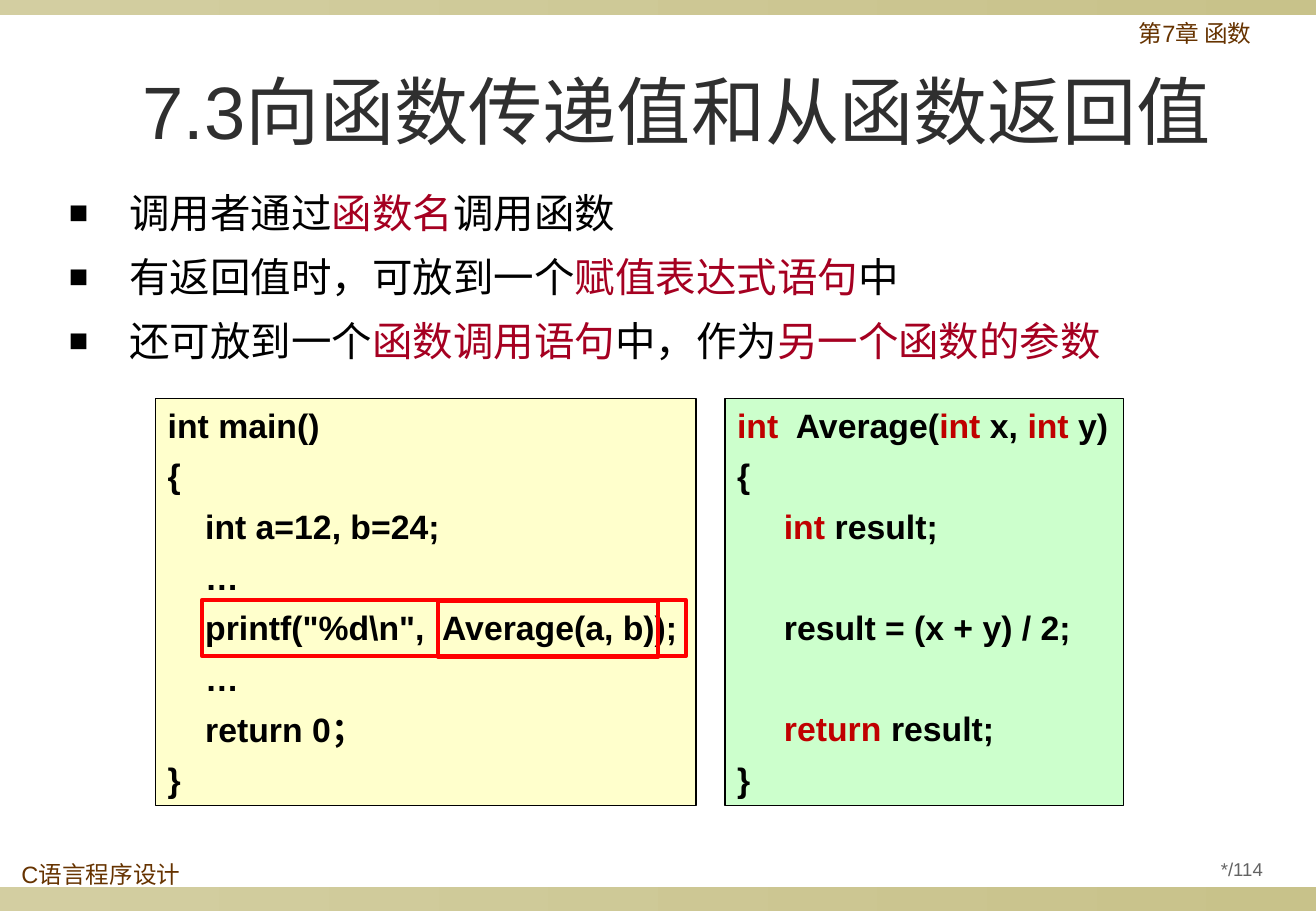
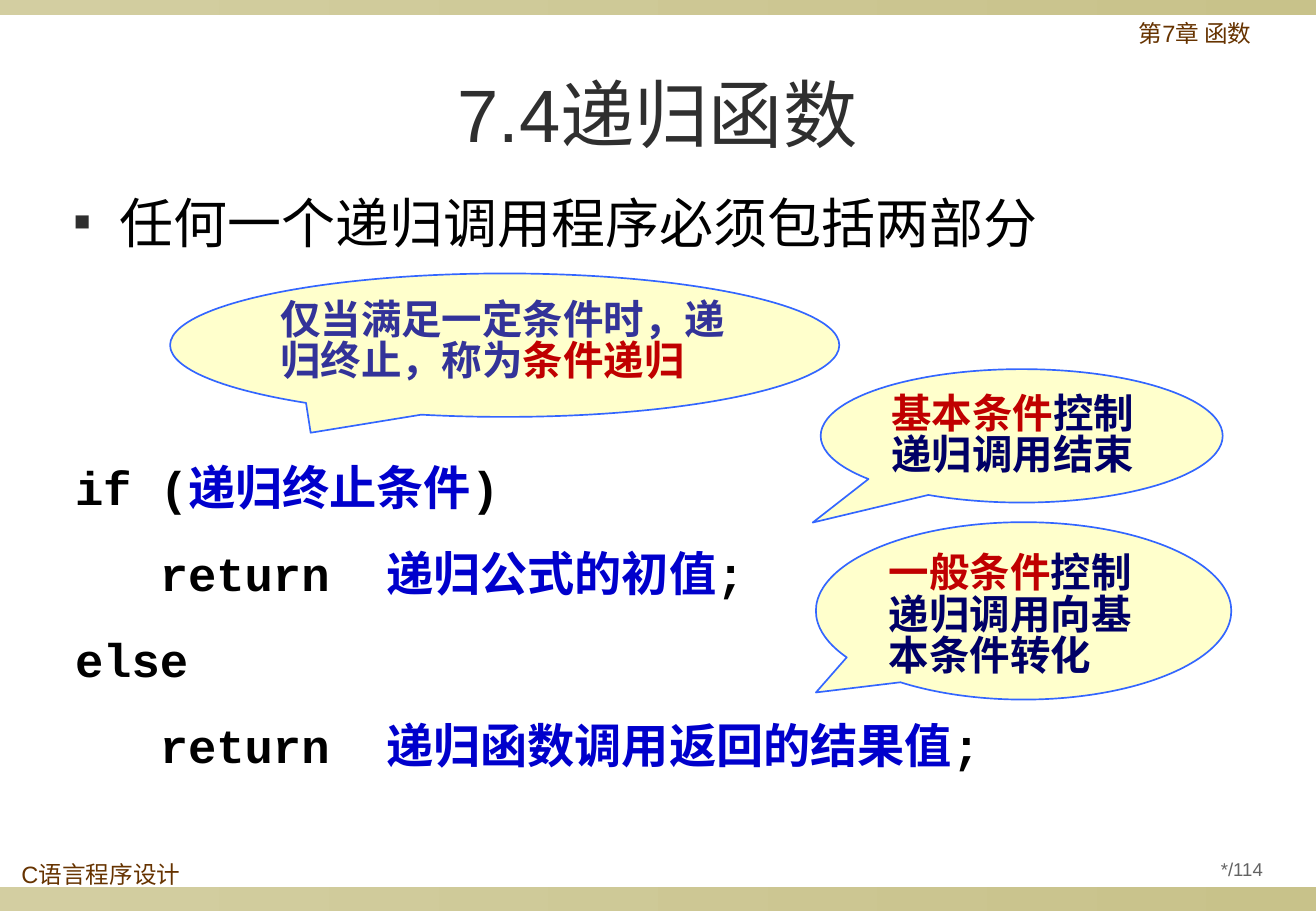
from dataclasses import dataclass
from typing import NamedTuple, Optional

from lxml.etree import SubElement
from pptx import Presentation
from pptx.dml.color import RGBColor
from pptx.enum.shapes import MSO_SHAPE as Preset
from pptx.enum.text import MSO_ANCHOR as Anchor, PP_ALIGN as Align
from pptx.oxml.ns import qn
from pptx.util import Cm, Pt

COLORS = {
    "band_start": "D3CEA1",
    "band_end": "C8C28A",
    "brown": "663300",
    "title": "2F2F2F",
    "page": "636363",
    "black": "000000",
    "crimson": "A50021",
    "keyword": "C00000",
    "frame": "FF0000",
    "yellow": "FFFFCC",
    "green": "CCFFCC",
    "outline": "3366FF",
    "navy": "000066",
    "indigo": "333399",
    "blue": "0000CC",
}
LATIN, MONO, CJK = "Arial", "Courier New", "Noto Sans CJK SC"
WIDTH, HEIGHT = 27.53, 19.05


class Box(NamedTuple):
    left: float
    top: float
    width: float
    height: float


class Run(NamedTuple):
    text: str
    color: Optional[str] = None
    font: Optional[str] = None


Line = list[Run]


class Bullet(NamedTuple):
    indent: float
    percent: int
    color: str


@dataclass(frozen=True)
class Style:
    size: float
    color: str = "black"
    font: str = LATIN
    bold: bool = False
    align: Align = Align.LEFT
    anchor: Anchor = Anchor.TOP
    spacing: object = 1.0
    before: float = 0
    blank_line: float = 0
    wrap: bool = True
    left_inset: float = 0.25
    right_inset: float = 0.25
    bullet: Optional[Bullet] = None


@dataclass(frozen=True)
class Panel:
    box: Box
    lines: list[Line]
    fill: Optional[str]
    line: str
    line_width: float
    preset: Preset = Preset.RECTANGLE
    tail: tuple[float, ...] = ()


TITLE = Style(44, "title", align=Align.CENTER, anchor=Anchor.MIDDLE)
MARGIN_NOTE = Style(14, "brown", spacing=0.9, wrap=False)
PAGE = Style(11, "page", align=Align.CENTER, anchor=Anchor.MIDDLE,
             left_inset=0.13, right_inset=0.13)
POINTS = Style(24, font=CJK, spacing=Pt(25), before=13,
               bullet=Bullet(1.27, 80, "black"))
LEAD = Style(32, font=CJK, spacing=Pt(36), bullet=Bullet(0.96, 50, "title"))
CODE = Style(20, bold=True, before=6, blank_line=29.9, right_inset=0.13)
SCHEME = Style(28, font=MONO, bold=True, spacing=Pt(51))
CALLOUT = Style(24, "navy", CJK, bold=True, spacing=Pt(24.6))


def rgb(name: str) -> RGBColor:
    return RGBColor.from_string(COLORS[name])


def place(box: Box) -> tuple[Cm, ...]:
    return tuple(Cm(length) for length in box)


def add_bullet(paragraph, bullet: Bullet) -> None:
    properties = paragraph._p.get_or_add_pPr()
    properties.set("marL", str(Cm(bullet.indent)))
    properties.set("indent", str(-Cm(bullet.indent)))
    tint = SubElement(properties, qn("a:buClr"))
    SubElement(tint, qn("a:srgbClr"), val=COLORS[bullet.color])
    SubElement(properties, qn("a:buSzPct"), val=str(bullet.percent * 1000))
    SubElement(properties, qn("a:buFont"), typeface=LATIN)
    SubElement(properties, qn("a:buChar"), char="■")


def add_run(paragraph, content: Run, style: Style) -> None:
    run = paragraph.add_run()
    run.text = content.text
    run.font.size = Pt(style.size)
    run.font.bold = style.bold
    run.font.color.rgb = rgb(content.color or style.color)
    run.font.name = content.font or style.font
    SubElement(run._r.get_or_add_rPr(), qn("a:ea"), typeface=CJK)


def write(shape, lines: list[Line], style: Style) -> None:
    frame = shape.text_frame
    frame.word_wrap = style.wrap
    frame.vertical_anchor = style.anchor
    frame.margin_left = Cm(style.left_inset)
    frame.margin_right = Cm(style.right_inset)
    frame.margin_top = frame.margin_bottom = Cm(0.13)
    paragraph = None
    gap = 0.0
    for line in lines:
        if not line:
            gap += style.blank_line
            continue
        first = paragraph is None
        paragraph = frame.paragraphs[0] if first else frame.add_paragraph()
        if style.bullet:
            add_bullet(paragraph, style.bullet)
        paragraph.alignment = style.align
        paragraph.line_spacing = style.spacing
        paragraph.space_before = Pt(0 if first else style.before + gap)
        gap = 0.0
        for content in line:
            add_run(paragraph, content, style)


def add_text(slide, box: Box, lines: list[Line], style: Style) -> None:
    write(slide.shapes.add_textbox(*place(box)), lines, style)


def add_panel(slide, panel: Panel, style: Style) -> None:
    shape = slide.shapes.add_shape(panel.preset, *place(panel.box))
    shape.shadow.inherit = False
    for index, value in enumerate(panel.tail):
        shape.adjustments[index] = value
    if panel.fill:
        shape.fill.solid()
        shape.fill.fore_color.rgb = rgb(panel.fill)
    else:
        shape.fill.background()
    shape.line.color.rgb = rgb(panel.line)
    shape.line.width = Pt(panel.line_width)
    if panel.lines:
        write(shape, panel.lines, style)


def add_band(slide, top: float, height: float) -> None:
    band = slide.shapes.add_shape(
        Preset.RECTANGLE, *place(Box(0, top, WIDTH, height)))
    band.shadow.inherit = False
    band.line.fill.background()
    band.fill.gradient()
    band.fill.gradient_angle = 0
    for stop, name in zip(band.fill.gradient_stops, ("band_start", "band_end")):
        stop.color.rgb = rgb(name)


def add_framed_slide(deck, title: str, title_box: Box):
    slide = deck.slides.add_slide(deck.slide_layouts[6])
    add_band(slide, 18.54, 0.51)
    add_band(slide, 0, 0.32)
    for box, text, style in (
        (Box(0.2, 17.91, 3.96, 0.81), "C语言程序设计", MARGIN_NOTE),
        (Box(23.57, 0.33, 3.96, 0.99), "第7章 函数", MARGIN_NOTE),
        (Box(24.61, 17.77, 2.74, 0.79), "*/114", PAGE),
        (title_box, title, TITLE),
    ):
        add_text(slide, box, [[Run(text)]], style)
    return slide


def build_passing_values(deck) -> None:
    slide = add_framed_slide(
        deck, "7.3向函数传递值和从函数返回值", Box(1.16, 1.12, 26.01, 2.34))
    add_text(slide, Box(1.19, 3.94, 25.58, 4.2), [
        [Run("调用者通过"), Run("函数名", "crimson"), Run("调用函数")],
        [Run("有返回值时，可放到一个"), Run("赋值表达式语句", "crimson"),
         Run("中")],
        [Run("还可放到一个"), Run("函数调用语句", "crimson"),
         Run("中，作为"), Run("另一个函数的参数", "crimson")],
    ], POINTS)
    main_code = [[Run(text)] for text in (
        "int main()",
        "{",
        "    int a=12, b=24;",
        "    …",
        r'    printf("%d\n",  Average(a, b));',
        "    …",
        "    return 0；",
        "}",
    )]
    average_code = [
        [Run("int", "keyword"), Run("  Average("), Run("int", "keyword"),
         Run(" x, "), Run("int", "keyword"), Run(" y)")],
        [Run("{")],
        [Run("     int ", "keyword"), Run("result;")],
        [],
        [Run("     result = (x + y) / 2;")],
        [],
        [Run("     return ", "keyword"), Run("result;")],
        [Run("}")],
    ]
    for panel in (
        Panel(Box(3.26, 8.33, 11.3, 8.51), main_code, "yellow", "black", 0.75),
        Panel(Box(15.17, 8.33, 8.33, 8.51), average_code, "green", "black", 0.75),
        Panel(Box(4.22, 12.55, 10.13, 1.17), [], None, "frame", 2.25),
        Panel(Box(9.17, 12.57, 4.6, 1.17), [], None, "frame", 2.25),
    ):
        add_panel(slide, panel, CODE)


def build_recursion(deck) -> None:
    slide = add_framed_slide(deck, "7.4递归函数", Box(1.37, 0.76, 24.77, 3.18))
    add_text(slide, Box(1.3, 3.91, 24.82, 1.7),
             [[Run("任何一个递归调用程序必须包括两部分")]], LEAD)
    add_text(slide, Box(1.32, 8.84, 22, 7.4), [
        [Run("if ("), Run("递归终止条件", "blue", CJK), Run(")")],
        [Run("   return  "), Run("递归公式的初值", "blue", CJK), Run(";")],
        [Run("else")],
        [Run("   return  "), Run("递归函数调用返回的结果值", "blue", CJK),
         Run(";")],
    ], SCHEME)
    for box, tail, line in (
        (Box(17.17, 7.72, 8.41, 2.79), (-0.52, 0.65),
         [Run("基本条件", "keyword"), Run("控制递归调用结束")]),
        (Box(3.56, 5.72, 14, 3), (-0.29, 0.61),
         [Run("仅当满足一定条件时，递归终止，称为", "indigo"),
          Run("条件递归", "keyword")]),
        (Box(17.07, 10.92, 8.69, 3.71), (-0.5, 0.46),
         [Run("一般条件", "keyword"), Run("控制递归调用向基本条件转化")]),
    ):
        add_panel(slide, Panel(box, [line], "yellow", "outline", 1,
                               Preset.OVAL_CALLOUT, tail), CALLOUT)


def main() -> None:
    deck = Presentation()
    deck.slide_width, deck.slide_height = Cm(WIDTH), Cm(HEIGHT)
    build_passing_values(deck)
    build_recursion(deck)
    deck.save("out.pptx")


if __name__ == "__main__":
    main()
